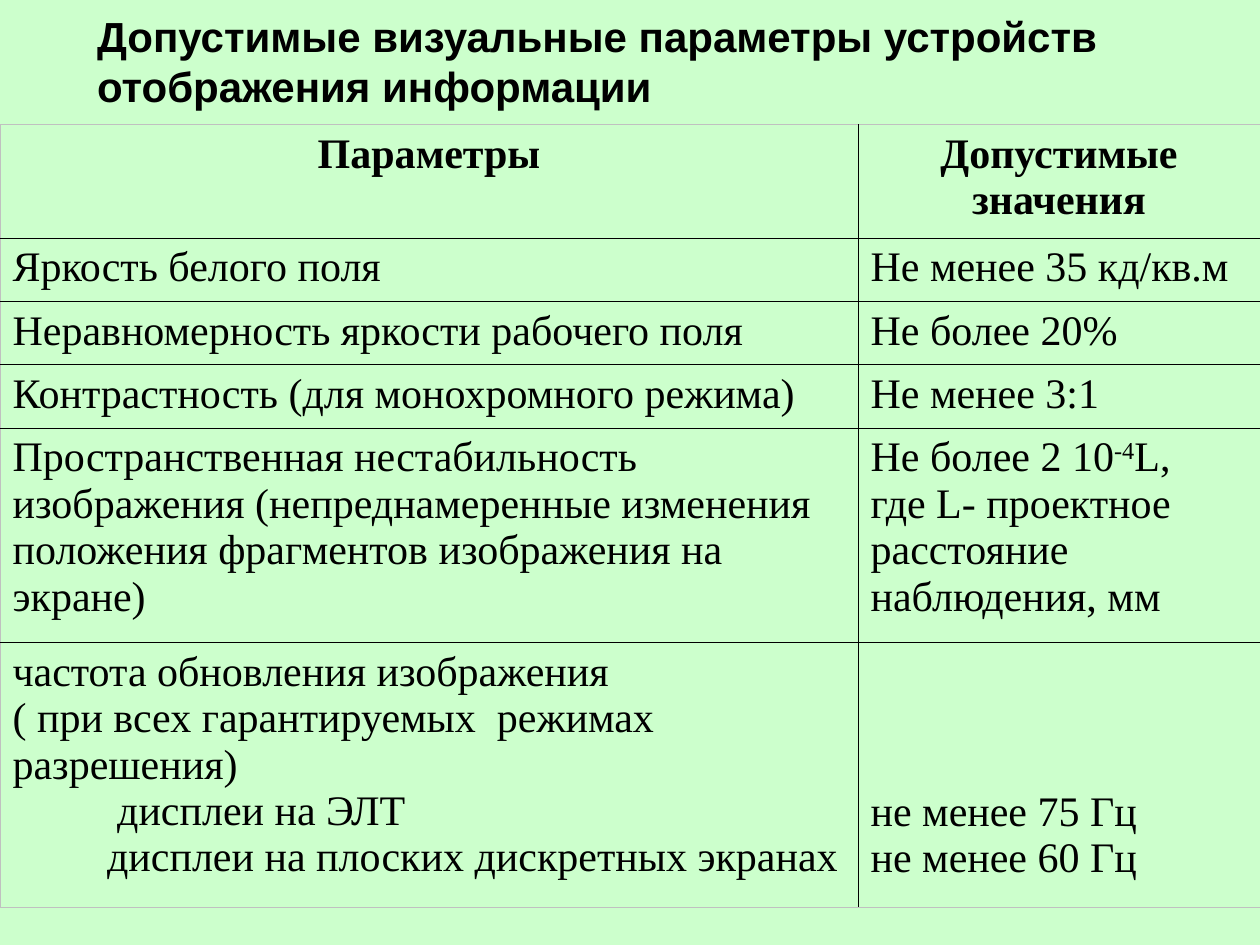
"""Build a slide with a table of permissible visual display parameters."""
from dataclasses import dataclass

from lxml.etree import SubElement
from pptx import Presentation
from pptx.dml.color import RGBColor
from pptx.enum.text import MSO_ANCHOR, MSO_AUTO_SIZE, PP_ALIGN
from pptx.oxml.ns import qn
from pptx.util import Inches, Pt

COLORS = {"background": "CCFFCC", "text": "000000", "inner": "000000", "outer": "C0C0C0"}
WIDTH, HEIGHT = Inches(10), Inches(7.5)
COLUMNS = (0.681, 0.319)
TABLE_TOP = 0.132


@dataclass
class Line:
    text: str
    superscript: str = ""
    tail: str = ""
    indent: float = 0


@dataclass
class Row:
    height: float
    left: list[Line]
    right: list[Line]
    header: bool = False
    low_values: bool = False


ROWS = [
    Row(0.12, [Line("Параметры")], [Line("Допустимые значения")], header=True),
    Row(0.067, [Line("Яркость белого поля")], [Line("Не менее 35 кд/кв.м")]),
    Row(0.067, [Line("Неравномерность яркости рабочего поля")], [Line("Не более 20%")]),
    Row(0.067, [Line("Контрастность (для монохромного режима)")], [Line("Не менее 3:1")]),
    Row(0.227,
        [Line("Пространственная нестабильность изображения (непреднамеренные изменения "
              "положения фрагментов изображения на экране)")],
        [Line("Не более 2 10", "-4", "L,"),
         Line("где L- проектное расстояние наблюдения, мм")]),
    Row(0.28,
        [Line("частота обновления изображения"),
         Line("( при всех гарантируемых  режимах разрешения)"),
         Line("дисплеи на ЭЛТ", indent=0.083),
         Line("дисплеи на плоских дискретных экранах", indent=0.075)],
        [Line("не менее 75 Гц"), Line("не менее 60 Гц")], low_values=True),
]


def format_run(r, font: str, bold: bool) -> None:
    r.font.name, r.font.size, r.font.bold = font, Pt(24), bold
    r.font.color.rgb = RGBColor.from_string(COLORS["text"])


def add_title(s, text: str) -> None:
    sp = s.shapes.title
    sp.left, sp.top = int(WIDTH * 0.067), 0
    sp.width, sp.height = int(WIDTH * 0.914), int(HEIGHT * 0.173)
    tf = sp.text_frame
    tf.text = text
    tf.word_wrap, tf.auto_size = True, MSO_AUTO_SIZE.NONE
    tf.vertical_anchor, tf.margin_top = MSO_ANCHOR.TOP, Inches(0.08)
    p = tf.paragraphs[0]
    p.alignment = PP_ALIGN.LEFT
    format_run(p.runs[0], "Arial", True)


def set_borders(cell, outer: dict[str, bool]) -> None:
    tc_pr = cell._tc.get_or_add_tcPr()
    for side, is_outer in outer.items():
        width = Pt(0.45 if is_outer else 0.34)
        ln = SubElement(tc_pr, qn(f"a:ln{side}"), w=str(width))
        fill = SubElement(ln, qn("a:solidFill"))
        SubElement(fill, qn("a:srgbClr"), val=COLORS["outer" if is_outer else "inner"])


def fill_cell(cell, lines: list[Line], header: bool) -> None:
    tf = cell.text_frame
    tf.text = "\n".join(line.text for line in lines)
    for p, line in zip(tf.paragraphs, lines):
        p.alignment = PP_ALIGN.CENTER if header else PP_ALIGN.LEFT
        if line.indent:
            p._p.get_or_add_pPr().set("marL", str(int(WIDTH * line.indent)))
        if line.superscript:
            r = p.add_run()
            r.text = line.superscript
            r.font._element.set("baseline", "30000")
            p.add_run().text = line.tail
        for r in p.runs:
            format_run(r, "Times New Roman", header)


def add_parameter_table(s, rows: list[Row]) -> None:
    height = int(HEIGHT * sum(row.height for row in rows))
    table = s.shapes.add_table(len(rows), len(COLUMNS), 0, int(HEIGHT * TABLE_TOP),
                               WIDTH, height).table
    table.first_row = table.horz_banding = False
    for column, share in zip(table.columns, COLUMNS):
        column.width = int(WIDTH * share)
    for i, row in enumerate(rows):
        table.rows[i].height = int(HEIGHT * row.height)
        for j, lines in enumerate((row.left, row.right)):
            cell = table.cell(i, j)
            fill_cell(cell, lines, row.header)
            set_borders(cell, {"L": j == 0, "R": j == len(COLUMNS) - 1,
                               "T": i == 0, "B": i == len(rows) - 1})
            cell.fill.background()
        if row.low_values:
            cell.vertical_anchor, cell.margin_bottom = MSO_ANCHOR.BOTTOM, Inches(0.2)


def main() -> None:
    prs = Presentation()
    prs.slide_width, prs.slide_height = WIDTH, HEIGHT
    s = prs.slides.add_slide(prs.slide_layouts[5])
    s.background.fill.solid()
    s.background.fill.fore_color.rgb = RGBColor.from_string(COLORS["background"])
    add_title(s, "Допустимые визуальные параметры устройств отображения информации")
    add_parameter_table(s, ROWS)
    prs.save("out.pptx")


if __name__ == "__main__":
    main()
